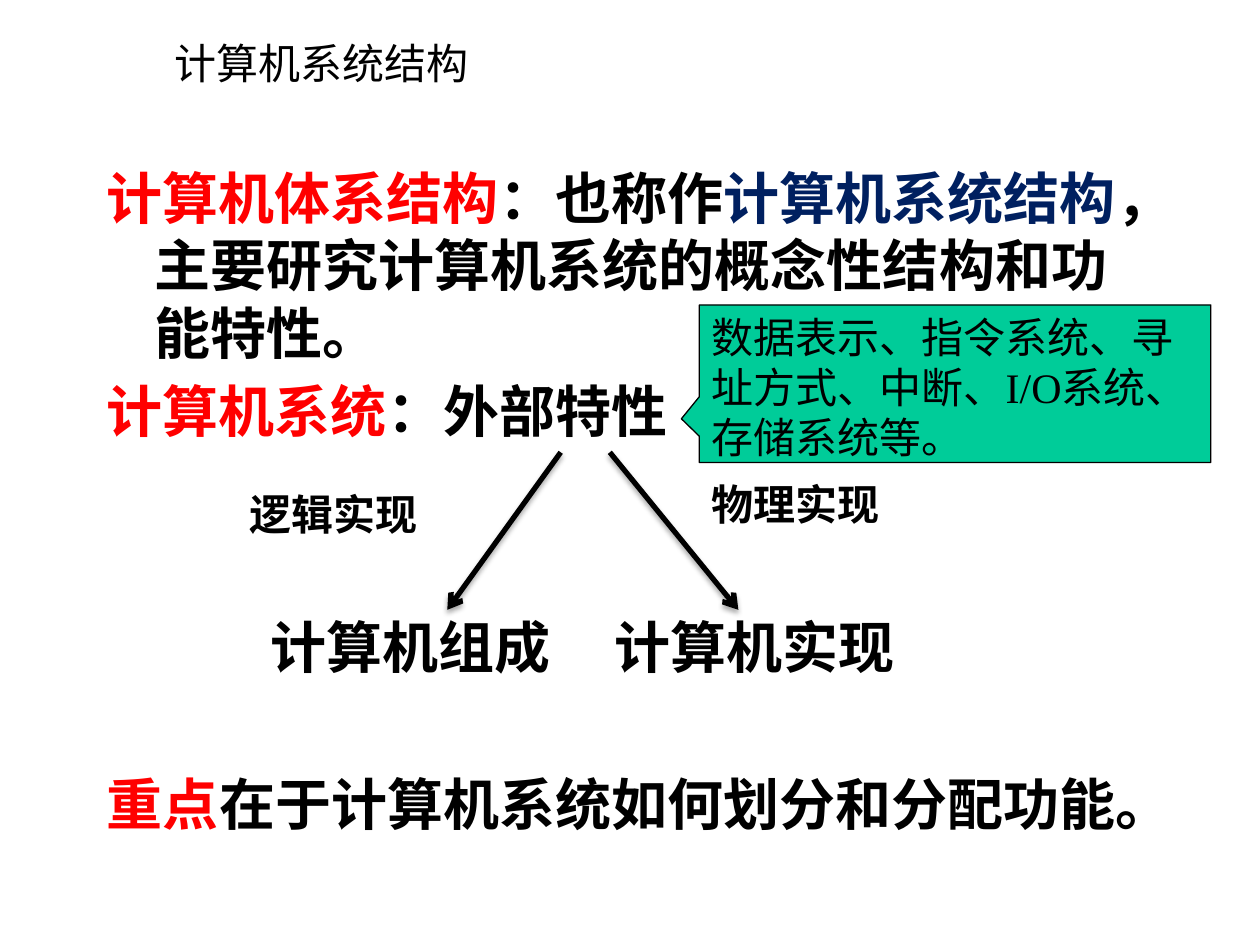
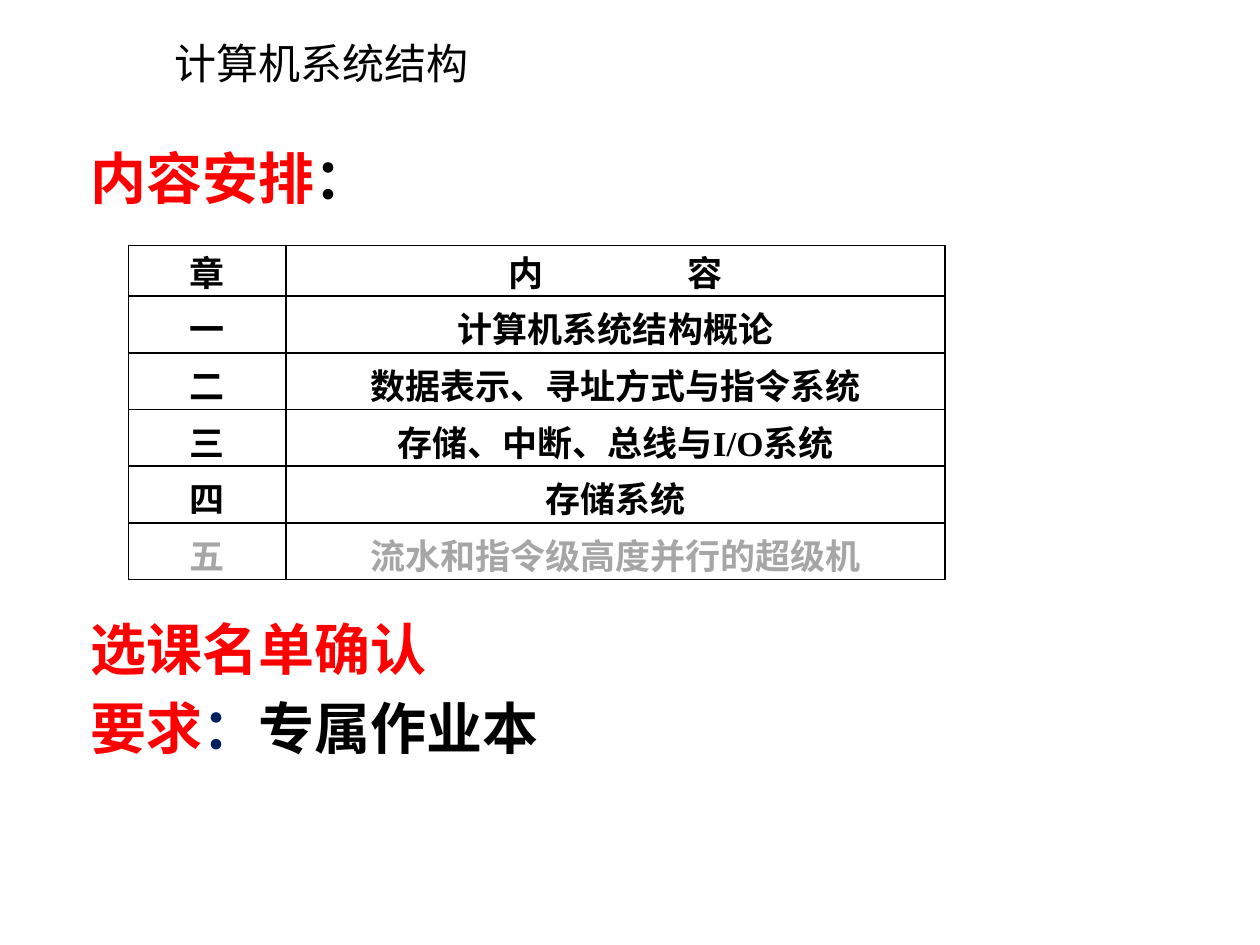
from typing import NamedTuple

from lxml.etree import SubElement
from pptx import Presentation
from pptx.dml.color import RGBColor
from pptx.enum.shapes import MSO_CONNECTOR, MSO_SHAPE
from pptx.enum.text import MSO_ANCHOR, PP_ALIGN
from pptx.oxml.ns import qn
from pptx.util import Emu, Pt

EMU_PER_PX = 9144  # 100 px to the inch

BLACK = RGBColor(0x00, 0x00, 0x00)
RED = RGBColor(0xFF, 0x00, 0x00)
NAVY = RGBColor(0x00, 0x20, 0x60)
GREEN = RGBColor(0x00, 0xCC, 0x99)
GRAY = RGBColor(0xA6, 0xA6, 0xA6)

TITLE_FONT = "Noto Sans CJK SC"
BODY_FONT = "Times New Roman"
HANGING_INDENT = 38
HEADER_GAP = 82  # points between the two header characters


class Box(NamedTuple):
    left: int
    top: int
    width: int
    height: int


class Span(NamedTuple):
    text: str
    color: RGBColor = BLACK


class Style(NamedTuple):
    size: int
    bold: bool = True
    font: str = BODY_FONT
    hanging: bool = False


class Label(NamedTuple):
    box: Box
    lines: list[list[Span]]
    style: Style


class Arrow(NamedTuple):
    start: tuple[int, int]
    end: tuple[int, int]


TITLE = Style(24, bold=False, font=TITLE_FONT)
BODY = Style(32, hanging=True)
NODE = Style(32)
NOTE = Style(24)
CALLOUT = Style(24, bold=False)
CELL = Style(20)

TITLE_LABEL = Label(Box(129, 25, 371, 51), [[Span("计算机系统结构")]], TITLE)

CONCEPT_LABELS = [
    Label(Box(75, 125, 850, 240), [
        [Span("计算机体系结构", RED), Span("：也称作"), Span("计算机系统结构", NAVY),
         Span("，主要研究计算机系统的概念性结构和功能特性。")],
        [Span("计算机系统", RED), Span("：外部特性")],
    ], BODY),
    Label(Box(205, 481, 250, 64), [[Span("计算机组成")]], NODE),
    Label(Box(478, 481, 250, 64), [[Span("计算机实现")]], NODE),
    Label(Box(75, 606, 900, 64),
          [[Span("重点", RED), Span("在于计算机系统如何划分和分配功能。")]], BODY),
    Label(Box(188, 383, 156, 51), [[Span("逻辑实现")]], NOTE),
    Label(Box(555, 375, 203, 51), [[Span("物理实现")]], NOTE),
]
CONCEPT_ARROWS = [Arrow((445, 359), (355, 484)), Arrow((484, 359), (586, 484))]
CALLOUT_BOX = Box(555, 242, 406, 125)
CALLOUT_TEXT = "数据表示、指令系统、寻址方式、中断、I/O系统、存储系统等。"

PLAN_LABELS = [
    Label(Box(62, 109, 850, 64), [[Span("内容安排", RED), Span("：")]], BODY),
    Label(Box(62, 483, 850, 140), [
        [Span("选课名单确认", RED)],
        [Span("要求", RED), Span("：", NAVY), Span("专属作业本")],
    ], BODY),
]
TABLE_LEFT, TABLE_TOP = 102, 195
COLUMN_WIDTHS = [125, 523]
HEADER_HEIGHT, ROW_HEIGHT = 40, 45
CHAPTERS = [
    ("章", "内容"),
    ("一", "计算机系统结构概论"),
    ("二", "数据表示、寻址方式与指令系统"),
    ("三", "存储、中断、总线与I/O系统"),
    ("四", "存储系统"),
    ("五", "流水和指令级高度并行的超级机"),
]


def px(length: int) -> Emu:
    return Emu(length * EMU_PER_PX)


def place(box: Box) -> list[Emu]:
    return [px(length) for length in box]


def write_paragraph(paragraph, spans: list[Span], style: Style) -> None:
    if style.hanging:
        properties = paragraph._p.get_or_add_pPr()
        properties.set("marL", str(px(HANGING_INDENT)))
        properties.set("indent", str(px(-HANGING_INDENT)))
    paragraph.font.name = style.font
    paragraph.font.size = Pt(style.size)
    paragraph.font.bold = style.bold
    for span in spans:
        run = paragraph.add_run()
        run.text = span.text
        run.font.color.rgb = span.color


def add_label(slide, label: Label) -> None:
    frame = slide.shapes.add_textbox(*place(label.box)).text_frame
    frame.word_wrap = True
    for index, spans in enumerate(label.lines):
        paragraph = frame.add_paragraph() if index else frame.paragraphs[0]
        write_paragraph(paragraph, spans, label.style)
        if index:
            paragraph.space_before = Pt(label.style.size * 0.2)


def add_titled_slide(presentation, labels: list[Label]):
    slide = presentation.slides.add_slide(presentation.slide_layouts[6])
    for label in [TITLE_LABEL, *labels]:
        add_label(slide, label)
    return slide


def add_arrow(slide, arrow: Arrow) -> None:
    """Draw an arrow with a soft shadow straight below it."""
    points = [px(length) for length in (*arrow.start, *arrow.end)]
    connector = slide.shapes.add_connector(MSO_CONNECTOR.STRAIGHT, *points)
    connector.line.color.rgb = BLACK
    connector.line.width = Pt(3)
    SubElement(connector.line._get_or_add_ln(), qn("a:tailEnd"), type="arrow")
    effects = SubElement(connector._element.spPr, qn("a:effectLst"))
    shadow = SubElement(effects, qn("a:outerShdw"), blurRad=str(Pt(3.1)),
                        dist=str(Pt(1.8)), dir="5400000", rotWithShape="0")
    color = SubElement(shadow, qn("a:srgbClr"), val=str(BLACK))
    SubElement(color, qn("a:alpha"), val="35000")


def add_callout(slide) -> None:
    callout = slide.shapes.add_shape(MSO_SHAPE.RECTANGULAR_CALLOUT, *place(CALLOUT_BOX))
    callout.shadow.inherit = False
    callout.adjustments[0] = -0.535
    callout.adjustments[1] = 0.223
    callout.fill.solid()
    callout.fill.fore_color.rgb = GREEN
    callout.line.color.rgb = BLACK
    callout.line.width = Pt(0.75)
    frame = callout.text_frame
    frame.word_wrap = True
    frame.vertical_anchor = MSO_ANCHOR.TOP
    paragraph = frame.paragraphs[0]
    paragraph.alignment = PP_ALIGN.LEFT
    write_paragraph(paragraph, [Span(CALLOUT_TEXT)], CALLOUT)


def add_borders(cell) -> None:
    properties = cell._tc.get_or_add_tcPr()
    for side in ("lnL", "lnR", "lnT", "lnB"):
        line = SubElement(properties, qn(f"a:{side}"), w=str(Pt(1)))
        fill = SubElement(line, qn("a:solidFill"))
        SubElement(fill, qn("a:srgbClr"), val=str(BLACK))


def fill_cell(cell, spans: list[Span]) -> None:
    add_borders(cell)
    cell.fill.background()
    cell.vertical_anchor = MSO_ANCHOR.BOTTOM
    cell.margin_left = cell.margin_right = px(7)
    cell.margin_top = cell.margin_bottom = 0
    paragraph = cell.text_frame.paragraphs[0]
    paragraph.alignment = PP_ALIGN.CENTER
    write_paragraph(paragraph, spans, CELL)


def add_chapter_table(slide) -> None:
    heights = [HEADER_HEIGHT] + [ROW_HEIGHT] * (len(CHAPTERS) - 1)
    box = Box(TABLE_LEFT, TABLE_TOP, sum(COLUMN_WIDTHS), sum(heights))
    table = slide.shapes.add_table(len(CHAPTERS), len(COLUMN_WIDTHS), *place(box)).table
    table.first_row = table.horz_banding = False
    for column, width in zip(table.columns, COLUMN_WIDTHS):
        column.width = px(width)
    for row, height, chapter in zip(table.rows, heights, CHAPTERS):
        row.height = px(height)
        color = GRAY if chapter == CHAPTERS[-1] else BLACK
        for cell, text in zip(row.cells, chapter):
            spread = text == "内容"
            fill_cell(cell, [Span(part, color) for part in (text if spread else [text])])
            if spread:
                first_run = cell.text_frame.paragraphs[0].runs[0]
                first_run._r.get_or_add_rPr().set("spc", str(HEADER_GAP * 100))


def main() -> None:
    presentation = Presentation()
    presentation.slide_width = px(1000)
    presentation.slide_height = px(750)

    concept_slide = add_titled_slide(presentation, CONCEPT_LABELS)
    for arrow in CONCEPT_ARROWS:
        add_arrow(concept_slide, arrow)
    add_callout(concept_slide)

    plan_slide = add_titled_slide(presentation, PLAN_LABELS)
    add_chapter_table(plan_slide)

    presentation.save("out.pptx")


if __name__ == "__main__":
    main()
